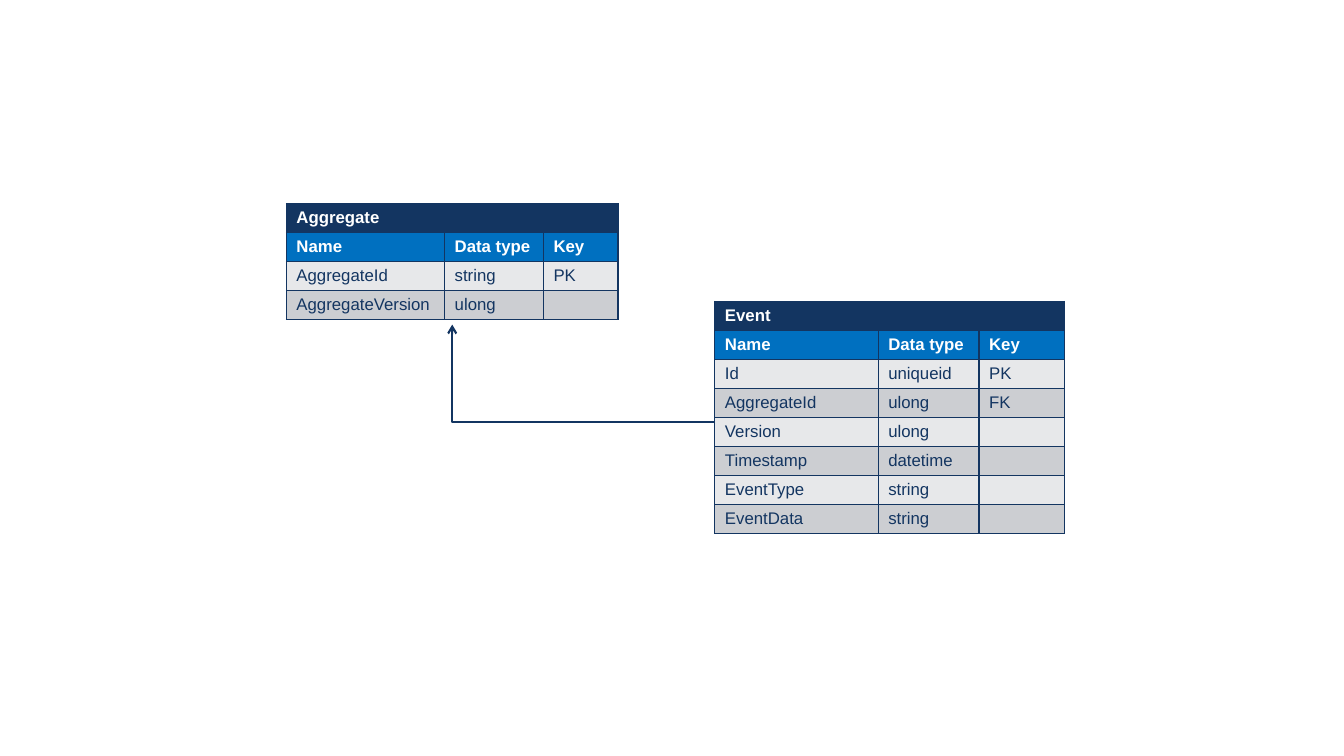
from lxml import etree
from pptx import Presentation
from pptx import util as u
from pptx.dml import color
from pptx.enum import shapes, text
from pptx.oxml import ns

SLIDE_WIDTH, SLIDE_HEIGHT = 13.33, 7.5
NAVY, BLUE, WHITE = "133561", "0070C0", "FFFFFF"
BANDS = ("E7E8EA", "CCCED2")
FONT_SIZE = 12
COLUMN_TITLES = ("Name", "Data type", "Key")
ROW_HEIGHT = 2.3 / 8

AGGREGATE_FIELDS = [("AggregateId", "string", "PK"), ("AggregateVersion", "ulong", "")]
EVENT_FIELDS = [
    ("Id", "uniqueid", "PK"),
    ("AggregateId", "ulong", "FK"),
    ("Version", "ulong", ""),
    ("Timestamp", "datetime", ""),
    ("EventType", "string", ""),
    ("EventData", "string", ""),
]


def rgb(value):
    """Return the colour for a hex string."""
    return color.RGBColor.from_string(value)


def add_element(parent, tag, **attributes):
    """Append a drawing element with its attributes."""
    return etree.SubElement(parent, ns.qn(tag), **attributes)


def write(frame, content, size=FONT_SIZE, font="Arial", ink=NAVY, bold=False):
    """Write one formatted paragraph, or size the empty line."""
    paragraph = frame.paragraphs[0]
    if not content:
        add_element(paragraph._p, "a:endParaRPr", sz=str(size * 100))
        return
    run = paragraph.add_run()
    run.text = content
    run.font.size, run.font.name, run.font.bold = u.Pt(size), font, bold
    run.font.color.rgb = rgb(ink)


def style_cell(cell, fill):
    """Give a cell its borders, fill and margins."""
    properties = cell._tc.get_or_add_tcPr()
    for side in ("a:lnL", "a:lnR", "a:lnT", "a:lnB"):
        line = add_element(properties, side, w=str(u.Pt(1)))
        add_element(add_element(line, "a:solidFill"), "a:srgbClr", val=NAVY)
    cell.fill.solid()
    cell.fill.fore_color.rgb = rgb(fill)
    cell.margin_left = cell.margin_right = u.Inches(0.1)
    cell.margin_top = cell.margin_bottom = u.Inches(0.04)
    cell.vertical_anchor = text.MSO_ANCHOR.MIDDLE


def add_entity(slide, left, top, columns, title, fields):
    """Place an entity table with a title row, column titles and fields."""
    rows = [(title, "", ""), COLUMN_TITLES, *fields]
    box = (left, top, sum(columns), ROW_HEIGHT * len(rows))
    frame = slide.shapes.add_table(len(rows), len(columns), *map(u.Inches, box))
    table = frame.table
    table.first_row = table.horz_banding = False
    for column, width in zip(table.columns, columns):
        column.width = u.Inches(width)
    for row_index, row in enumerate(rows):
        heading = row_index < 2
        fill = (NAVY, BLUE)[row_index] if heading else BANDS[row_index % 2]
        for column_index, content in enumerate(row):
            cell = table.cell(row_index, column_index)
            style_cell(cell, fill)
            write(cell.text_frame, content, ink=WHITE if heading else NAVY, bold=heading)
    table.cell(0, 0).merge(table.cell(0, len(columns) - 1))


def add_reference(slide, left, top, right, bottom):
    """Draw the elbow arrow from bottom right, left and then up to top left."""
    ends = map(u.Inches, (left, top, right, bottom))
    connector = slide.shapes.add_connector(shapes.MSO_CONNECTOR.ELBOW, *ends)
    connector.line.color.rgb = rgb(NAVY)
    connector.line.width = u.Pt(1.5)
    properties = connector._element.spPr
    properties.find(ns.qn("a:xfrm")).set("rot", str(180 * 60000))
    properties.find(ns.qn("a:prstGeom")).set("prst", "bentConnector2")
    add_element(connector.line._get_or_add_ln(), "a:tailEnd", type="arrow")
    add_element(properties, "a:effectLst")


def main():
    """Build the slide with the two entities and their reference."""
    presentation = Presentation()
    presentation.slide_width = u.Inches(SLIDE_WIDTH)
    presentation.slide_height = u.Inches(SLIDE_HEIGHT)
    slide = presentation.slides.add_slide(presentation.slide_layouts[6])
    aggregate_left, aggregate_top, aggregate_columns = 2.84, 2.02, (1.57, 0.98, 0.74)
    event_left, event_top, event_columns = 7.09, 2.99, (1.62, 1, 0.85)
    add_entity(slide, aggregate_left, aggregate_top, aggregate_columns, "Aggregate", AGGREGATE_FIELDS)
    add_entity(slide, event_left, event_top, event_columns, "Event", EVENT_FIELDS)
    aggregate_middle = aggregate_left + sum(aggregate_columns) / 2
    add_reference(slide, aggregate_middle, aggregate_top + 1.2, event_left, event_top + 1.2)
    presentation.save("out.pptx")


if __name__ == "__main__":
    main()
